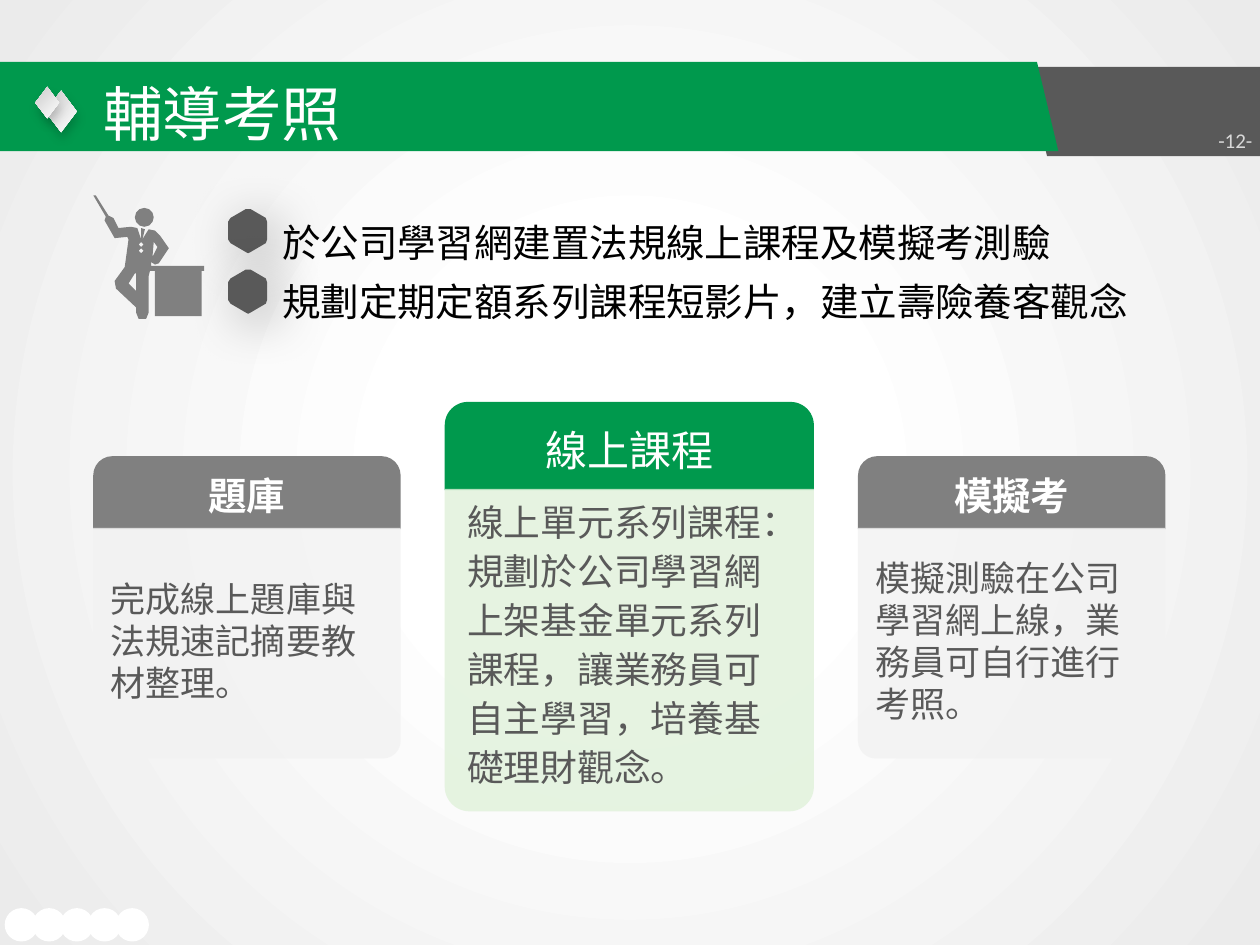
from lxml import etree
from pptx import Presentation
from pptx.dml.color import RGBColor
from pptx.enum import shapes as s, text as t
from pptx.oxml import parse_xml
from pptx.oxml.ns import qn, nsdecls
from pptx.util import Inches, Pt

TC, SC = "Noto Sans CJK TC", "Noto Sans CJK SC"
GREEN, GREY, DARK, WHITE = "00994D", "808080", "595959", "FFFFFF"
KIND = s.MSO_SHAPE

HEXAGON = [(0.14, 0), (0.18, 0), (0.3, 0.07), (0.31, 0.1), (0.31, 0.24), (0.3, 0.27),
           (0.18, 0.34), (0.16, 0.35), (0.14, 0.34), (0.02, 0.27), (0, 0.24),
           (0, 0.1), (0.02, 0.07)]
BODY = [(0.74, 1.55), (0.76, 1.55), (0.86, 1.71), (0.9, 1.73), (0.94, 1.81), (1.04, 1.8),
        (1.09, 1.81), (1.12, 1.9), (1.12, 1.81), (1.15, 1.82), (1.13, 1.9), (1.18, 1.82),
        (1.23, 1.83), (1.27, 1.87), (1.34, 1.97), (1.26, 2.09), (1.23, 2.1), (1.2, 2.08),
        (1.2, 2.11), (1.62, 2.11), (1.62, 2.15), (1.6, 2.15), (1.6, 2.51), (1.23, 2.51),
        (1.23, 2.15), (1.19, 2.15), (1.18, 2.19), (1.18, 2.48), (1.16, 2.53), (1.1, 2.53),
        (1.08, 2.48), (1.08, 2.44), (0.92, 2.29), (0.91, 2.23), (0.99, 2.12), (1.02, 1.9),
        (1.01, 1.88), (0.91, 1.89), (0.83, 1.75), (0.84, 1.72)]
LEG = [(1.07, 2.17), (1.02, 2.25), (1.08, 2.31), (1.08, 2.17)]
ARM = [(1.22, 1.92), (1.21, 2.04), (1.25, 1.96)]
BUTTONS = [[(1.1, y), (1.12, y - 0.02), (1.14, y), (1.12, y + 0.02)] for y in (1.94, 1.99)]


def rgb(code):
    """Turn a hex string into a colour."""
    return RGBColor.from_string(code)


def paint(shape, code, alpha=None):
    """Give a shape a solid fill without line or shadow."""
    shape.shadow.inherit = False
    shape.fill.solid()
    shape.fill.fore_color.rgb = rgb(code)
    shape.line.fill.background()
    if alpha:
        color = shape.element.spPr.find(".//" + qn("a:srgbClr"))
        etree.SubElement(color, qn("a:alpha")).set("val", str(alpha * 1000))


def blend(fill, stops):
    """Set a two-stop gradient."""
    fill.gradient()
    for stop, (pos, code) in zip(fill.gradient_stops, stops):
        stop.position = pos
        stop.color.rgb = rgb(code)


def shade(shape, alpha, blur, dist, angle):
    """Add an outer black shadow."""
    effects = shape.element.spPr.find(qn("a:effectLst"))
    effects.append(parse_xml(
        f'<a:outerShdw {nsdecls("a")} blurRad="{Pt(blur)}" dist="{Pt(dist)}" '
        f'dir="{angle * 60000}" algn="ctr" rotWithShape="0"><a:srgbClr val="000000">'
        f'<a:alpha val="{alpha * 1000}"/></a:srgbClr></a:outerShdw>'))


def style(run, size, font, code, bold=False):
    """Format a run, for Latin and East Asian letters."""
    run.font.size, run.font.bold = Pt(size), bold
    run.font.color.rgb = rgb(code)
    run.font.name = font
    etree.SubElement(run.font._element, qn("a:ea")).set("typeface", font)


def write(shape, words, size, font, code, align="LEFT", lead=None, bold=False):
    """Fill a shape with formatted text."""
    frame = shape.text_frame
    frame.text = words
    frame.word_wrap = True
    frame.auto_size = t.MSO_AUTO_SIZE.NONE
    for par in frame.paragraphs:
        par.alignment = getattr(t.PP_ALIGN, align)
        if lead:
            par.line_spacing = Pt(lead)
        for run in par.runs:
            style(run, size, font, code, bold)
    return frame


def place(shape, x, y, w, h):
    """Move a placeholder and bring it to the front."""
    shape.left, shape.top = Inches(x), Inches(y)
    shape.width, shape.height = Inches(w), Inches(h)
    shape.element.getparent().append(shape.element)


def add(slide, kind, x, y, w, h, code, alpha=None):
    """Add a painted preset shape."""
    shape = slide.shapes.add_shape(kind, Inches(x), Inches(y), Inches(w), Inches(h))
    paint(shape, code, alpha)
    return shape


def draw(slide, code, *loops):
    """Draw closed outlines as one freeform."""
    first, *rest = [[(Inches(x), Inches(y)) for x, y in loop] for loop in loops]
    pen = slide.shapes.build_freeform(*first[0])
    pen.add_line_segments(first[1:])
    for loop in rest:
        pen.move_to(*loop[0])
        pen.add_line_segments(loop[1:])
    shape = pen.convert_to_shape()
    paint(shape, code)
    return shape


def card(slide, x, y, w, cap, low, name, words, main=False):
    """Add a header and the panel under it."""
    head = add(slide, KIND.ROUND_2_SAME_RECTANGLE, x, y, w, cap, GREEN if main else GREY)
    head.adjustments[0], head.adjustments[1] = 0.263, 0
    write(head, name, 24 if main else 22, TC, WHITE, "CENTER", bold=not main)
    panel = add(slide, KIND.ROUND_2_SAME_RECTANGLE, x, y + cap - 0.01, w, low,
                "E0F1DA" if main else "F2F2F2", 80)
    panel.adjustments[0], panel.adjustments[1] = 0, 0.077
    frame = write(panel, words, 21 if main else 20, SC, DARK, lead=28 if main else None)
    if main:
        frame.vertical_anchor = t.MSO_ANCHOR.TOP
        frame.margin_left = frame.margin_right = Inches(0.12)


def band(slide):
    """Draw the backdrop, banner and corner dots."""
    fill = slide.background.fill
    blend(fill, [(0.28, WHITE), (1, "EBEBEB")])
    lin = slide.element.find(".//" + qn("a:lin"))
    lin.getparent().replace(lin, parse_xml(
        f'<a:path {nsdecls("a")} path="circle">'
        '<a:fillToRect l="50000" t="50000" r="50000" b="50000"/></a:path>'))
    draw(slide, DARK, [(8.15, 0.53), (10, 0.53), (10, 1.24), (8.31, 1.24)])
    draw(slide, GREEN, [(0, 0.49), (8.23, 0.49), (8.4, 1.2), (0, 1.2)])
    for x, y, w, h in [(0.36, 0.72, 0.25, 0.33), (0.28, 0.69, 0.19, 0.25)]:
        gem = add(slide, KIND.DIAMOND, x, y, w, h, WHITE)
        blend(gem.fill, [(0, WHITE), (1, "CCCCCC")])
        gem.fill.gradient_angle = 135
        shade(gem, 18, 6, 4, 77)
    for i in range(5):
        dot = add(slide, KIND.OVAL, 0.05 + 0.22 * i, 7.22, 0.24, 0.24, WHITE)
        dot.line.color.rgb, dot.line.width = rgb(WHITE), Pt(1.75)


def points(slide, body):
    """Write the two points with their hexagon markers."""
    place(body, 1.76, 1.58, 7.56, 1.01)
    frame = write(body, "於公司學習網建置法規線上課程及模擬考測驗\n"
                  "規劃定期定額系列課程短影片，建立壽險養客觀念", 22, SC, "000000", lead=34)
    for par in frame.paragraphs:
        par.space_before = Pt(0)
        props = par._p.get_or_add_pPr()
        props.set("marL", str(Inches(0.38)))
        props.set("indent", "0")
        etree.SubElement(props, qn("a:buNone"))
    for y in (1.66, 2.14):
        mark = draw(slide, DARK, [(1.81 + dx, y + dy) for dx, dy in HEXAGON])
        shade(mark, 30, 30, 8, 45)


def main():
    """Build the slide."""
    prs = Presentation()
    prs.slide_width, prs.slide_height = Inches(10), Inches(7.5)
    slide = prs.slides.add_slide(prs.slide_layouts[1])
    title, body = slide.placeholders
    band(slide)
    place(title, 0.72, 0.59, 7.5, 0.61)
    write(title, "輔導考照", 34, TC, WHITE)
    page = slide.shapes.add_textbox(Inches(9.4), Inches(0.97), Inches(0.62), Inches(0.28))
    frame = write(page, "-12-", 12, "Calibri", "D9D9D9", "RIGHT")
    frame.vertical_anchor = t.MSO_ANCHOR.BOTTOM
    frame.margin_left = frame.margin_right = Inches(0.08)
    frame.margin_top = frame.margin_bottom = Inches(0.04)
    card(slide, 3.53, 3.19, 2.93, 0.7, 2.56, "線上課程",
         "線上單元系列課程：規劃於公司學習網上架基金單元系列課程，"
         "讓業務員可自主學習，培養基礎理財觀念。", True)
    card(slide, 6.81, 3.62, 2.44, 0.58, 1.83, "模擬考",
         "模擬測驗在公司學習網上線，業務員可自行進行考照。")
    card(slide, 0.74, 3.62, 2.44, 0.58, 1.83, "題庫",
         "完成線上題庫與法規速記摘要教材整理。")
    points(slide, body)
    draw(slide, GREY, BODY, LEG, ARM, *BUTTONS)
    add(slide, KIND.OVAL, 1.07, 1.65, 0.15, 0.15, GREY)
    prs.save("out.pptx")


if __name__ == "__main__":
    main()
